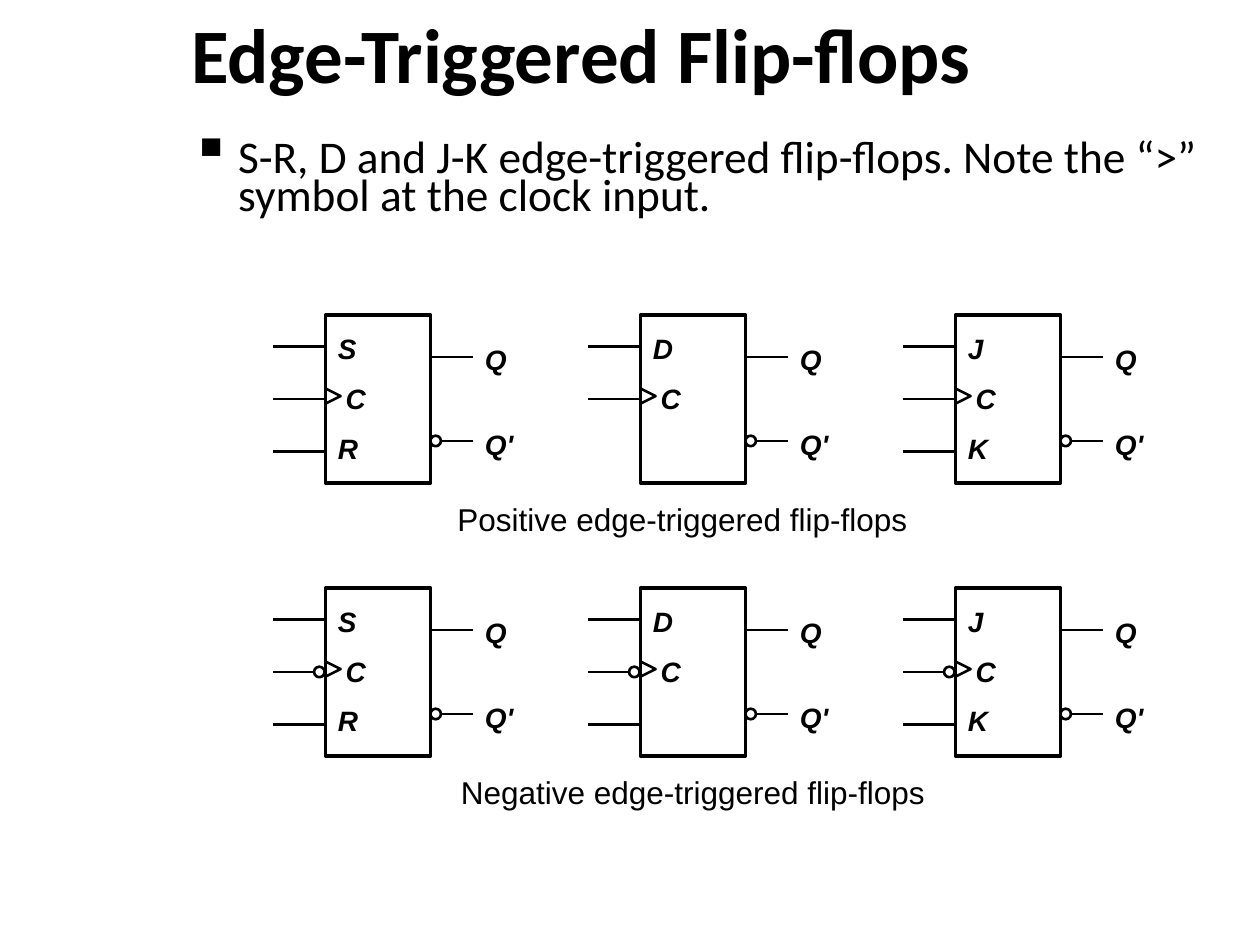
from lxml import etree
from pptx import Presentation
from pptx.dml.color import RGBColor
from pptx.enum.shapes import MSO_CONNECTOR as Connector, MSO_SHAPE as Preset
from pptx.enum.text import MSO_ANCHOR as Anchor, MSO_AUTO_SIZE as AutoSize, PP_ALIGN as Align
from pptx.oxml.ns import qn
from pptx.util import Pt

BLACK = "000000"


def color(hex_text):
    return RGBColor.from_string(hex_text)


def add_text(shapes, left, top, width, height, lines, size, gap=0, font="Arial", emphasis=False, align=Align.LEFT):
    box = shapes.add_textbox(Pt(left), Pt(top), Pt(width), Pt(height))
    frame = box.text_frame
    frame.word_wrap = True
    frame.auto_size = AutoSize.SHAPE_TO_FIT_TEXT
    frame.text = "\n".join(lines)
    for index, paragraph in enumerate(frame.paragraphs):
        paragraph.alignment = align
        paragraph.space_before = Pt(gap if index else 0)
        paragraph.font.name = font
        paragraph.font.size = Pt(size)
        paragraph.font.bold = paragraph.font.italic = emphasis
        paragraph.font.color.rgb = color(BLACK)
    return box


presentation = Presentation()
presentation.slide_width, presentation.slide_height = Pt(720), Pt(540)
slide = presentation.slides.add_slide(presentation.slide_layouts[5])

title = slide.shapes.title
title.left, title.top, title.width, title.height = Pt(102), Pt(0), Pt(594), Pt(60)
title.text_frame.text = "Edge-Triggered Flip-flops"
title.text_frame.vertical_anchor = Anchor.MIDDLE
heading = title.text_frame.paragraphs[0]
heading.alignment = Align.LEFT
heading.font.name = "Calibri"
heading.font.size = Pt(44)
heading.font.bold = True
heading.font.color.rgb = color(BLACK)

note = "S-R, D and J-K edge-triggered flip-flops. Note the “>” symbol at the clock input."
body = add_text(slide.shapes, 102, 78, 594, 55, [note], 25.9, font="Calibri")
body.text_frame.auto_size = AutoSize.NONE
bullet_paragraph = body.text_frame.paragraphs[0]
bullet_paragraph.line_spacing = 0.7
properties = bullet_paragraph._p.get_or_add_pPr()
properties.set("marL", str(Pt(27)))
properties.set("indent", str(-Pt(27)))
bullet_size = etree.Element(qn("a:buSzPct"), val="120000")
bullet = etree.Element(qn("a:buChar"), char="▪")
properties.find(qn("a:defRPr")).addprevious(bullet_size)
bullet_size.addnext(bullet)

flip_flops = [["S", " C", "R"], ["D", " C"], ["J", " C", "K"]]
rows = [(180, False, "Positive", 246), (336, True, "Negative", 252)]

for top, negative, edge, caption_left in rows:
    for column, labels in enumerate(flip_flops):
        left = 186 + 180 * column
        group = slide.shapes.add_group_shape().shapes
        clock_end = left - 6 if negative else left

        outlines = [
            (Preset.RECTANGLE, left, top, 60, 96, 2),
            (Preset.ISOSCELES_TRIANGLE, left, top + 42, 8.64, 8.64, 1.5),
            (Preset.OVAL, left + 60, top + 69, 6, 6, 1.5),
        ]
        if negative:
            outlines.append((Preset.OVAL, left - 6.5, top + 45, 6, 6, 1.5))
        for preset, x, y, width, height, weight in outlines:
            shape = group.add_shape(preset, Pt(x), Pt(y), Pt(width), Pt(height))
            shape.shadow.inherit = False
            shape.fill.background()
            shape.line.color.rgb = color(BLACK)
            shape.line.width = Pt(weight)
            if preset == Preset.RECTANGLE:
                block = shape
            elif preset == Preset.ISOSCELES_TRIANGLE:
                shape.rotation = 90

        wires = [
            (left - 30, left, 18),
            (left - 30, clock_end, 48),
            (left + 60, left + 84, 24),
            (left + 66, left + 84, 72),
        ]
        if negative or len(labels) == 3:
            wires.append((left - 30, left, 78))
        for start, end, offset in wires:
            y = Pt(top + offset)
            wire = group.add_connector(Connector.STRAIGHT, Pt(start), y, Pt(end), y)
            wire.line.color.rgb = color(BLACK)
            wire.line.width = Pt(1.5)
            etree.SubElement(wire._element.spPr, qn("a:effectLst"))
            if offset == 48 and not negative:
                wire.end_connect(block, 1)

        add_text(group, left, top + 6, 42, 28 * len(labels), labels, 16, 9.2, emphasis=True)
        add_text(group, left + 84, top + 12, 36, 76, ["Q", "Q'"], 16, 29.6, emphasis=True)

    caption = f"{edge} edge-triggered flip-flops"
    add_text(slide.shapes, caption_left, top + 102, 288, 29, [caption], 18, align=Align.CENTER)

presentation.save("out.pptx")
